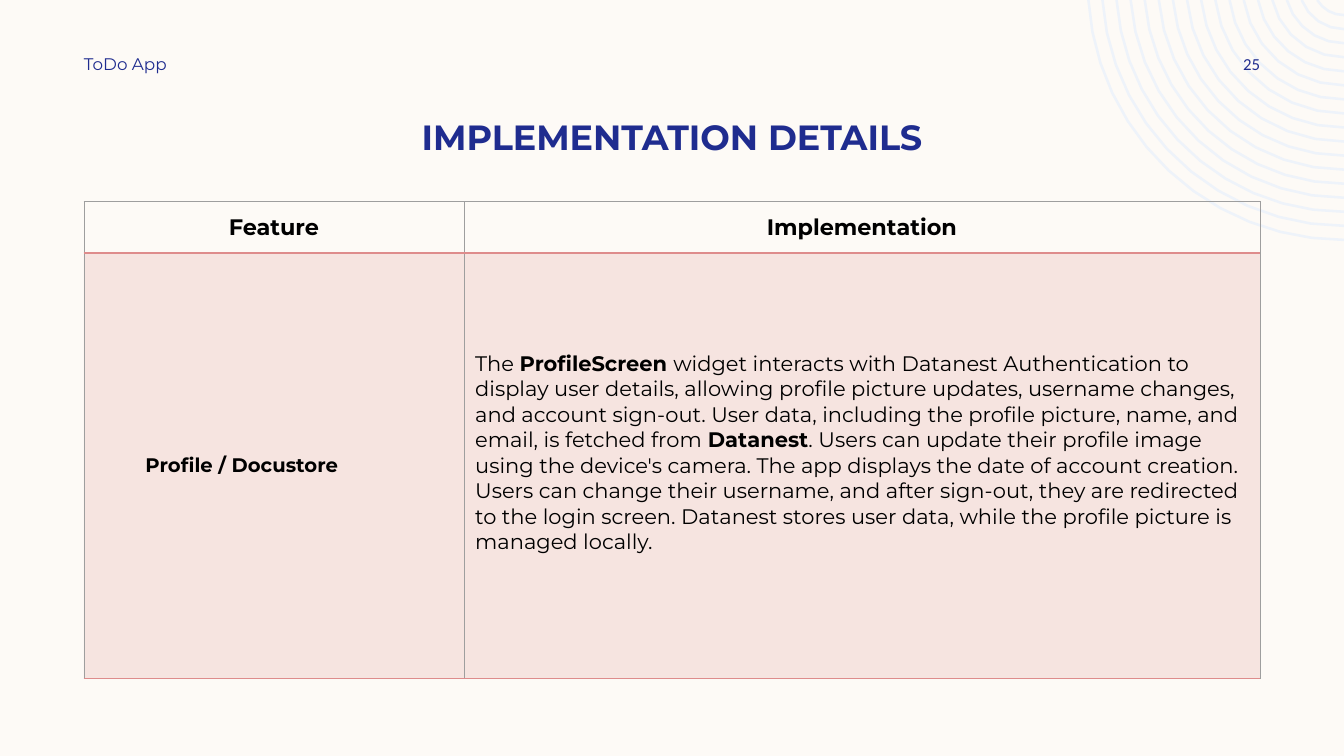
import math

import pptx
import pptx.dml.color
import pptx.enum.text
import pptx.oxml
import pptx.oxml.ns
import pptx.util

WIDE, HIGH = 13.33, 7.5
COL, ROW = WIDE / 16, HIGH / 15
FONT = "Montserrat"
NAVY, ROSE, GRAY, BLACK = "1F2C8F", "DE8C8C", "9E9E9E", "000000"
ALIGN = pptx.enum.text.PP_ALIGN
ANCHOR = pptx.enum.text.MSO_ANCHOR

PROFILE = [
    ("The ", False),
    ("ProfileScreen ", True),
    ("widget interacts with Datanest Authentication to display user details, "
     "allowing profile picture updates, username changes, and account sign-out. "
     "User data, including the profile picture, name, and email, is fetched from", False),
    (" Datanest", True),
    (". Users can update their profile image using the device's camera. The app "
     "displays the date of account creation. Users can change their username, and "
     "after sign-out, they are redirected to the login screen. Datanest stores user "
     "data, while the profile picture is managed locally.", False),
]

# Runs, size, alignment, left margin and bottom margin of each cell
CELLS = [
    [([("Feature", True)], 16, ALIGN.CENTER, 0.11, 0.05),
     ([("Implementation", True)], 16, ALIGN.CENTER, 0.11, 0.05)],
    [([("Profile / Docustore", True)], 14, ALIGN.LEFT, 0.61, 0.05),
     (PROFILE, 15, ALIGN.LEFT, 0.11, 0.3)],
]


def emu(*sizes):
    return [pptx.util.Inches(size) for size in sizes]


def paint(fill, color):
    """Give a fill a solid colour."""
    fill.solid()
    fill.fore_color.rgb = pptx.dml.color.RGBColor.from_string(color)


def style(font, size, color, bold=None, name=FONT):
    font.name, font.size, font.bold = name, pptx.util.Pt(size), bold
    paint(font.fill, color)


def rings(slide, box):
    """Draw concentric arcs round a centre just above the top right corner."""
    left, top, width, height = box
    count, inner, rise = 17, 0.31, 0.16
    mid = left + width
    gap = (height + rise - inner) / (count - 1)
    path = None
    for i in range(count):
        radius, steps = inner + i * gap, 4 + i // 2
        start = math.asin(rise / radius)
        turns = [start + (math.pi / 2 - start) * k / steps for k in range(steps + 1)]
        dots = [emu(mid - radius * math.cos(turn), top - rise + radius * math.sin(turn))
                for turn in turns]
        if path is None:
            path = slide.shapes.build_freeform(*dots[0], scale=1.0)
        else:
            path.move_to(*dots[0])
        path.add_line_segments(dots[1:], close=False)
    shape = path.convert_to_shape()
    shape.shadow.inherit = False
    shape.fill.background()
    paint(shape.line.fill, "EEF3FA")
    shape.line.width = pptx.util.Pt(1.8)


def label(slide, box, text, size, align, anchor=ANCHOR.MIDDLE, inset=(0, 0),
          bold=None, name=FONT):
    frame = slide.shapes.add_textbox(*emu(*box)).text_frame
    frame.word_wrap = True
    frame.vertical_anchor = anchor
    frame.margin_left, frame.margin_right = emu(*inset)
    para = frame.paragraphs[0]
    para.text, para.alignment = text, align
    style(para.font, size, NAVY, bold, name)


def border(cell, edges):
    """Add cell lines, given as (tag, colour, points), ahead of the cell fill."""
    props = cell._tc.get_or_add_tcPr()
    for i, (tag, color, points) in enumerate(edges):
        props.insert(i, pptx.oxml.parse_xml(
            f'<a:{tag} {pptx.oxml.ns.nsdecls("a")} w="{int(points * 12700)}">'
            f'<a:solidFill><a:srgbClr val="{color}"/></a:solidFill></a:{tag}>'))


def tint(cell, color, share):
    """Fill a cell with a colour at a share of full opacity, in percent."""
    paint(cell.fill, color)
    tone = cell._tc.tcPr.find(".//" + pptx.oxml.ns.qn("a:srgbClr"))
    tone.append(pptx.oxml.parse_xml(
        f'<a:alpha {pptx.oxml.ns.nsdecls("a")} val="{share * 1000}"/>'))


def grid(slide, box):
    """Place the feature table: a plain header row above a tinted row."""
    width, height = box[2:]
    table = slide.shapes.add_table(2, 2, *emu(*box)).table
    table.first_row = table.horz_banding = False
    first, head = 3.77, 0.51
    for column, size in zip(table.columns, emu(first, width - first)):
        column.width = size
    for row, size in zip(table.rows, emu(head, height - head)):
        row.height = size

    rules = [(GRAY, 0.75), (ROSE, 2), (ROSE, 1)]
    for r, line in enumerate(CELLS):
        for c, (runs, size, align, left, bottom) in enumerate(line):
            cell = table.cell(r, c)
            cell.vertical_anchor = ANCHOR.MIDDLE
            cell.margin_left, cell.margin_right = emu(left, 0.11)
            cell.margin_top, cell.margin_bottom = emu(0.05, bottom)
            para = cell.text_frame.paragraphs[0]
            para.alignment = align
            for text, bold in runs:
                run = para.add_run()
                run.text = text
                style(run.font, size, BLACK, bold)
            if r:
                tint(cell, ROSE, 20)
            else:
                cell.fill.background()
            border(cell, [("lnL", GRAY, 0.75), ("lnR", GRAY, 0.75),
                          ("lnT", *rules[r]), ("lnB", *rules[r + 1])])


def main():
    deck = pptx.Presentation()
    deck.slide_width, deck.slide_height = emu(WIDE, HIGH)
    slide = deck.slides.add_slide(deck.slide_layouts[6])
    paint(slide.background.fill, "FDFAF6")
    rings(slide, (WIDE - 2.54, 0, 2.54, 2.38))
    label(slide, (COL, 0.77, 14 * COL, 0.84), "IMPLEMENTATION DETAILS", 25,
          ALIGN.CENTER, ANCHOR.BOTTOM, (0.1, 0.1), True)
    label(slide, (COL, ROW, 3.5, 0.27), "ToDo App", 12, ALIGN.LEFT)
    label(slide, (15 * COL - 1.08, ROW, 1.08, 0.27), "25", 12, ALIGN.RIGHT,
          inset=(0.1, 0), name="Calibri")
    grid(slide, (COL, 4 * ROW, 14 * COL, 4.73))
    deck.save("out.pptx")


if __name__ == "__main__":
    main()
